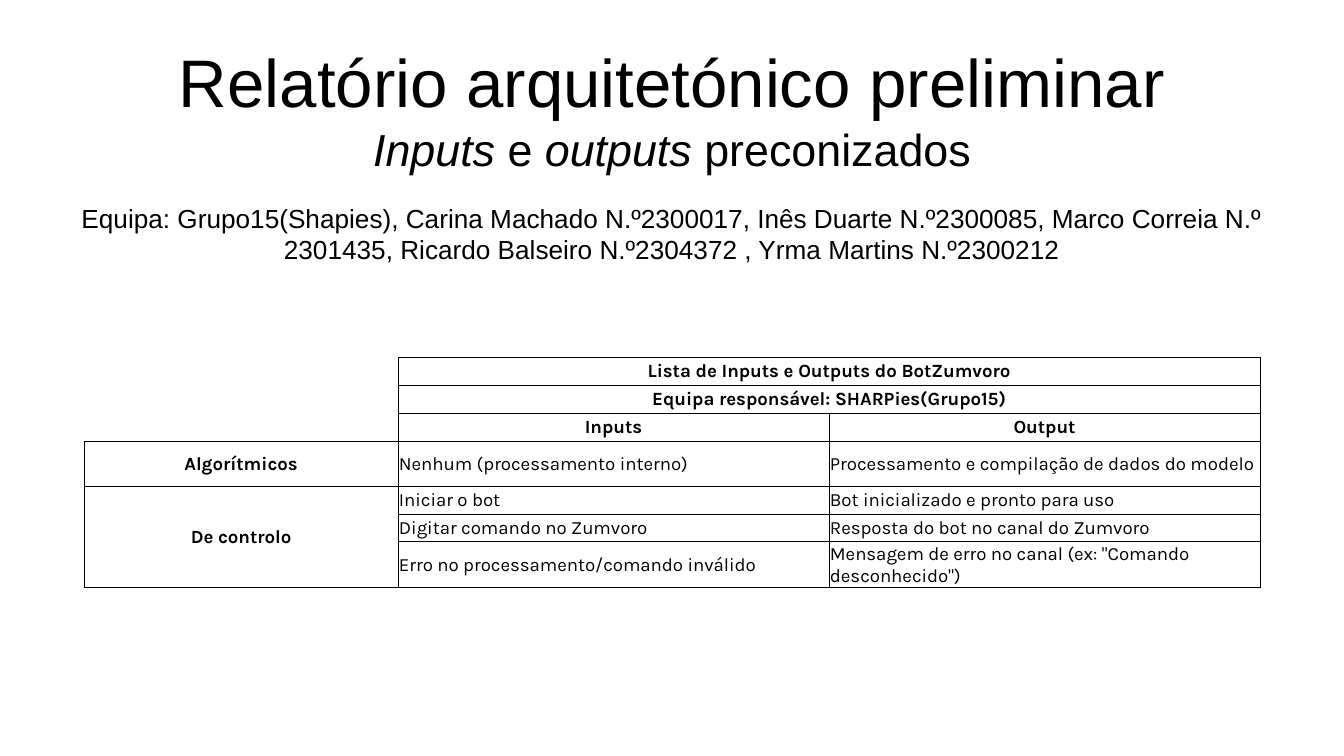
from lxml import etree
from pptx import Presentation
from pptx.dml.color import RGBColor
from pptx.enum.text import MSO_ANCHOR, PP_ALIGN
from pptx.oxml.ns import qn
from pptx.util import Pt

PX = 914400 / 134.4
BLACK = RGBColor(0, 0, 0)
WHITE = RGBColor(255, 255, 255)
CENTER, LEFT = PP_ALIGN.CENTER, PP_ALIGN.LEFT
MIDDLE, TOP = MSO_ANCHOR.MIDDLE, MSO_ANCHOR.TOP

# Content: each paragraph is a size and its (text, italic) runs
TITLE = [
    (36, [("Relatório arquitetónico preliminar", False)]),
    (24, [("Inputs", True), (" e ", False), ("outputs", True),
          (" preconizados", False)]),
]
TEAM = [(14, [("Equipa: Grupo15(Shapies), Carina Machado N.º2300017, "
               "Inês Duarte N.º2300085, Marco Correia N.º 2301435, "
               "Ricardo Balseiro N.º2304372 , Yrma Martins N.º2300212", False)])]
ROWS = [
    ("", "Lista de Inputs e Outputs do BotZumvoro", ""),
    ("", "Equipa responsável: SHARPies(Grupo15)", ""),
    ("", "Inputs", "Output"),
    ("Algorítmicos", "Nenhum (processamento interno)",
     "Processamento e compilação de dados do modelo"),
    ("De controlo", "Iniciar o bot", "Bot inicializado e pronto para uso"),
    ("", "Digitar comando no Zumvoro", "Resposta do bot no canal do Zumvoro"),
    ("", "Erro no processamento/comando inválido",
     'Mensagem de erro no canal (ex: "Comando desconhecido")'),
]
HEADS = 3
WIDTHS = [314, 431, 431]
HEIGHTS = [28, 28, 28, 45, 28, 28, 45]
MERGES = [((0, 1), (0, 2)), ((1, 1), (1, 2)), ((4, 0), (6, 0))]


def px(n):
    return round(n * PX)


def style(run, font, size, bold=False, italic=False):
    run.font.name, run.font.size = font, Pt(size)
    run.font.bold, run.font.italic = bold, italic
    run.font.color.rgb = BLACK


def add_text(slide, box, paras, anchor):
    frame = slide.shapes.add_textbox(*map(px, box)).text_frame
    frame.word_wrap = True
    frame.vertical_anchor = anchor
    frame.margin_left = frame.margin_right = px(13)
    frame.margin_top = frame.margin_bottom = px(13)
    for i, (size, runs) in enumerate(paras):
        para = frame.add_paragraph() if i else frame.paragraphs[0]
        para.alignment = CENTER
        for text, italic in runs:
            run = para.add_run()
            run.text = text
            style(run, "Arial", size, italic=italic)


def set_edges(cell, drawn):
    props = cell._tc.get_or_add_tcPr()
    for side in "LRTB":
        line = etree.SubElement(props, qn("a:ln" + side), w=str(Pt(0.5)))
        if side in drawn:
            fill = etree.SubElement(line, qn("a:solidFill"))
            etree.SubElement(fill, qn("a:srgbClr"), val=str(BLACK))
        else:
            etree.SubElement(line, qn("a:noFill"))


def fill_cell(cell, text, row, col):
    head = row < HEADS or col == 0
    cell.margin_left = cell.margin_right = cell.margin_top = px(1)
    cell.margin_bottom = 0
    cell.vertical_anchor = MIDDLE
    para = cell.text_frame.paragraphs[0]
    para.alignment = CENTER if head else LEFT
    if text:
        para.text = text
        style(para.runs[0], "Karla", 10, bold=head)
    else:
        # Keeps an empty cell from stretching its row
        etree.SubElement(para._p, qn("a:endParaRPr"), sz="1000")
    if row < HEADS and col == 0:
        set_edges(cell, "RB" if row == HEADS - 1 else "R")
        cell.fill.background()
    else:
        set_edges(cell, "LRTB")
        cell.fill.solid()
        cell.fill.fore_color.rgb = WHITE


def add_grid(slide, left, top):
    table = slide.shapes.add_table(
        len(ROWS), len(WIDTHS), px(left), px(top),
        px(sum(WIDTHS)), px(sum(HEIGHTS))).table
    table.first_row = table.horz_banding = False
    for col, width in zip(table.columns, WIDTHS):
        col.width = px(width)
    for r, (texts, height) in enumerate(zip(ROWS, HEIGHTS)):
        table.rows[r].height = px(height)
        for c, text in enumerate(texts):
            fill_cell(table.cell(r, c), text, r, c)
    for first, last in MERGES:
        table.cell(*first).merge(table.cell(*last))


def main():
    deck = Presentation()
    deck.slide_width, deck.slide_height = px(1344), px(756)
    slide = deck.slides.add_slide(deck.slide_layouts[6])
    # Team, title, table
    add_text(slide, (46, 189, 1252, 59), TEAM, TOP)
    add_text(slide, (46, 46, 1252, 124), TITLE, MIDDLE)
    add_grid(slide, 84, 357)
    deck.save("out.pptx")


if __name__ == "__main__":
    main()
